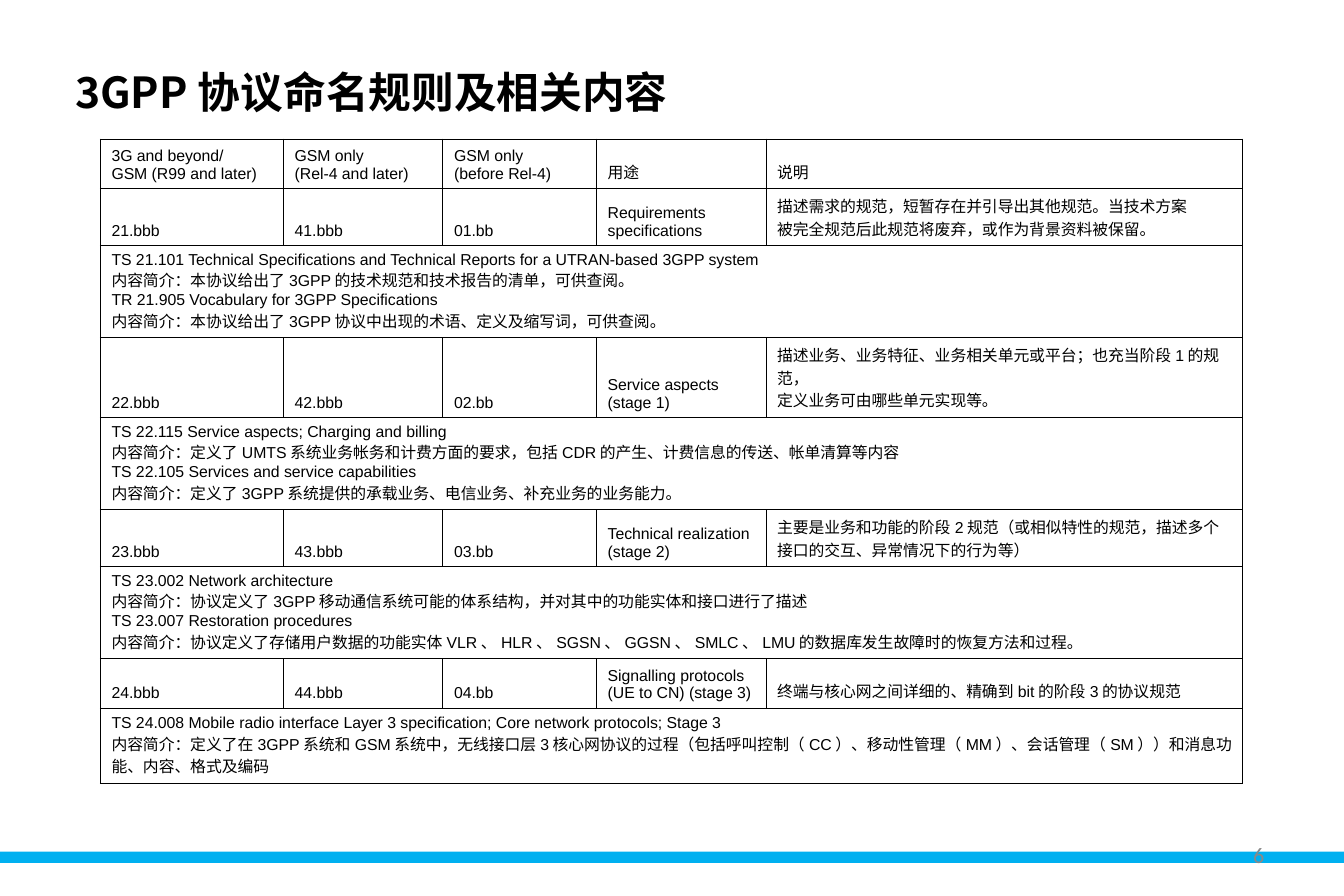
"""Build the slide on 3GPP specification naming rules."""
import copy
import itertools

import pptx
import pptx.dml.color
import pptx.enum.shapes
import pptx.enum.text
import pptx.oxml
import pptx.oxml.ns
import pptx.util

Inches = pptx.util.Inches
Pt = pptx.util.Pt
RGBColor = pptx.dml.color.RGBColor
Align = pptx.enum.text.PP_ALIGN
Anchor = pptx.enum.text.MSO_ANCHOR
qn = pptx.oxml.ns.qn

BLACK = RGBColor(0x00, 0x00, 0x00)
GREY = RGBColor(0x89, 0x89, 0x89)
SKY_BLUE = RGBColor(0x00, 0xB0, 0xF0)
LATIN_FONT = "Arial"
CHINESE_FONT = "Noto Sans CJK SC"

COLUMN_WIDTHS = [1.61, 1.4, 1.35, 1.49, 4.19]
ROW_HEIGHTS = [0.43, 0.5, 0.81, 0.7, 0.81, 0.5, 0.81, 0.43, 0.66]
ROWS = [
    ["3G and beyond/\nGSM (R99 and later)", "GSM only\n(Rel-4 and later)",
     "GSM only\n(before Rel-4)", "用途", "说明"],
    ["21.bbb", "41.bbb", "01.bb", "Requirements\nspecifications",
     "描述需求的规范，短暂存在并引导出其他规范。当技术方案\n"
     "被完全规范后此规范将废弃，或作为背景资料被保留。"],
    ["TS 21.101 Technical Specifications and Technical Reports for a UTRAN-based 3GPP system\n"
     "内容简介：本协议给出了3GPP的技术规范和技术报告的清单，可供查阅。\n"
     "TR 21.905 Vocabulary for 3GPP Specifications\n"
     "内容简介：本协议给出了3GPP协议中出现的术语、定义及缩写词，可供查阅。"],
    ["22.bbb", "42.bbb", "02.bb", "Service aspects\n(stage 1)",
     "描述业务、业务特征、业务相关单元或平台；也充当阶段1的规范，\n"
     "定义业务可由哪些单元实现等。"],
    ["TS 22.115 Service aspects; Charging and billing\n"
     "内容简介：定义了UMTS系统业务帐务和计费方面的要求，包括CDR的产生、计费信息的传送、帐单清算等内容\n"
     "TS 22.105 Services and service capabilities\n"
     "内容简介：定义了3GPP系统提供的承载业务、电信业务、补充业务的业务能力。"],
    ["23.bbb", "43.bbb", "03.bb", "Technical realization\n(stage 2)",
     "主要是业务和功能的阶段2规范（或相似特性的规范，描述多个接口的交互、异常情况下的行为等）"],
    ["TS 23.002 Network architecture\n"
     "内容简介：协议定义了3GPP移动通信系统可能的体系结构，并对其中的功能实体和接口进行了描述\n"
     "TS 23.007 Restoration procedures\n"
     "内容简介：协议定义了存储用户数据的功能实体VLR、HLR、SGSN、GGSN、SMLC、LMU"
     "的数据库发生故障时的恢复方法和过程。"],
    ["24.bbb", "44.bbb", "04.bb", "Signalling protocols\n(UE to CN) (stage 3)",
     "终端与核心网之间详细的、精确到bit的阶段3的协议规范"],
    ["TS 24.008 Mobile radio interface Layer 3 specification; Core network protocols; Stage 3\n"
     "内容简介：定义了在3GPP系统和GSM系统中，无线接口层3核心网协议的过程"
     "（包括呼叫控制（CC）、移动性管理（MM）、会话管理（SM））和消息功能、内容、格式及编码"],
]


def format_span(span, font_name, size, color, bold=False):
    """Set the font of a run for Latin and Chinese letters alike."""
    span.font.size = Pt(size)
    span.font.bold = bold
    span.font.color.rgb = color
    span.font.name = font_name
    latin = span.font._element.find(qn("a:latin"))
    east_asian = copy.deepcopy(latin)
    east_asian.tag = qn("a:ea")
    latin.addnext(east_asian)


def add_bar(page):
    """Draw the blue bar across the foot of the page."""
    bar = page.shapes.add_shape(
        pptx.enum.shapes.MSO_SHAPE.RECTANGLE,
        Inches(0), Inches(7.48), Inches(11.81), Inches(0.1))
    bar.shadow.inherit = False
    bar.fill.solid()
    bar.fill.fore_color.rgb = SKY_BLUE
    bar.line.fill.background()


def add_label(page, text, place, font_name, size, color, bold=False, align=Align.LEFT):
    """Add a text box with one line of text."""
    box = page.shapes.add_textbox(*map(Inches, place))
    frame = box.text_frame
    frame.word_wrap = True
    frame.vertical_anchor = Anchor.MIDDLE
    frame.margin_left = frame.margin_right = Inches(0.11)
    frame.margin_top = frame.margin_bottom = Inches(0.06)
    frame.text = text
    para = frame.paragraphs[0]
    para.alignment = align
    format_span(para.runs[0], font_name, size, color, bold)


def is_chinese(letter):
    """Tell whether a letter belongs to the Chinese script."""
    return ord(letter) > 0x2000


def fill_cell(cell, text):
    """Write text into a cell with one run for each stretch of a script."""
    cell.vertical_anchor = Anchor.BOTTOM
    cell.margin_right = Inches(0.09)
    para = cell.text_frame.paragraphs[0]
    for number, line in enumerate(text.split("\n")):
        if number:
            para.add_line_break()
            line_break = para._p.findall(qn("a:br"))[-1]
            line_break.append(copy.deepcopy(para.runs[-1].font._element))
        for chinese, letters in itertools.groupby(line, is_chinese):
            span = para.add_run()
            span.text = "".join(letters)
            format_span(span, CHINESE_FONT if chinese else LATIN_FONT, 10, BLACK)


def style_cell(cell):
    """Clear the fill of a cell and give it thin borders."""
    cell.fill.background()
    properties = cell._tc.get_or_add_tcPr()
    for position, side in enumerate(["lnL", "lnR", "lnT", "lnB"]):
        properties.insert(position, pptx.oxml.parse_xml(
            f'<a:{side} {pptx.oxml.ns.nsdecls("a")} w="{Pt(0.45)}"><a:solidFill>'
            f'<a:srgbClr val="{BLACK}"/></a:solidFill></a:{side}>'))


def add_specification_table(page):
    """Add the table of specification series; one-text rows span all columns."""
    table = page.shapes.add_table(
        len(ROWS), len(COLUMN_WIDTHS), Inches(0.88), Inches(1.22),
        Inches(sum(COLUMN_WIDTHS)), Inches(sum(ROW_HEIGHTS))).table
    table.first_row = table.horz_banding = False
    for column, width in zip(table.columns, COLUMN_WIDTHS):
        column.width = Inches(width)
    for cell in table.iter_cells():
        style_cell(cell)
    for index, (texts, height) in enumerate(zip(ROWS, ROW_HEIGHTS)):
        row = table.rows[index]
        row.height = Inches(height)
        if len(texts) == 1:
            row.cells[0].merge(row.cells[len(COLUMN_WIDTHS) - 1])
        for cell, text in zip(row.cells, texts):
            fill_cell(cell, text)


def main():
    """Build and save the deck."""
    deck = pptx.Presentation()
    deck.slide_width, deck.slide_height = Inches(11.81), Inches(7.87)
    page = deck.slides.add_slide(deck.slide_layouts[6])
    add_bar(page)
    add_label(page, "6", (8.46, 7.3, 2.76, 0.42), "Calibri", 14, GREY, align=Align.RIGHT)
    add_label(page, "3GPP协议命名规则及相关内容", (0.55, 0.49, 10.63, 0.62),
              CHINESE_FONT, 27, BLACK, bold=True)
    add_specification_table(page)
    deck.save("out.pptx")


if __name__ == "__main__":
    main()
